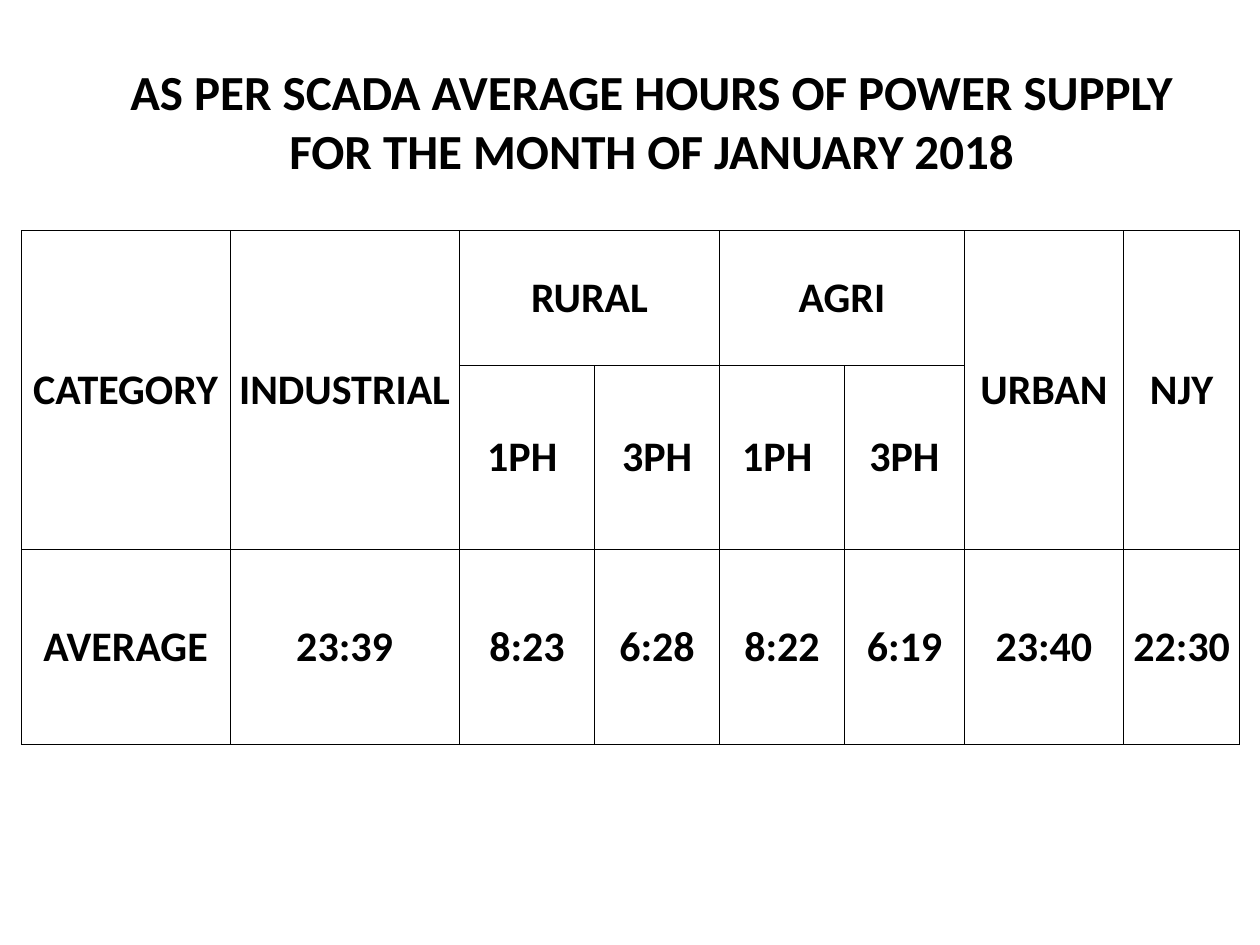
import pptx
import pptx.dml.color
import pptx.enum.text
import pptx.oxml
import pptx.oxml.ns
import pptx.util
from pptx.util import Inches

BLACK = pptx.dml.color.RGBColor(0, 0, 0)
WHITE = pptx.dml.color.RGBColor(255, 255, 255)
FONT = "Calibri"
BORDER_POINTS = 0.23

TITLE = "AS PER SCADA AVERAGE HOURS OF POWER SUPPLY FOR THE MONTH OF JANUARY 2018"
COLUMN_WIDTHS = [1.65, 1.82, 1.07, 0.99, 0.99, 0.95, 1.26, 0.92]
ROW_HEIGHTS = [1.07, 1.46, 1.55]
ROWS = [
    ["CATEGORY", "INDUSTRIAL", "RURAL", "", "AGRI", "", "URBAN", "NJY"],
    ["", "", "1PH ", "3PH", "1PH ", "3PH", "", ""],
    ["AVERAGE", "23:39", "8:23", "6:28", "8:22", "6:19", "23:40", "22:30"],
]
TALL_COLUMNS = [0, 1, 6, 7]
PHASE_COLUMNS = [2, 4]


def style_paragraph(paragraph, size):
    paragraph.alignment = pptx.enum.text.PP_ALIGN.CENTER
    font = paragraph.font
    font.name = FONT
    font.size = pptx.util.Pt(size)
    font.bold = True
    font.color.rgb = BLACK


def add_title(slide, left, top, width, height):
    shape = slide.shapes.add_textbox(left, top, width, height)
    frame = shape.text_frame
    frame.word_wrap = True
    frame.vertical_anchor = pptx.enum.text.MSO_ANCHOR.MIDDLE
    frame.text = TITLE
    style_paragraph(frame.paragraphs[0], 28)


def add_borders(cell):
    properties = cell._tc.get_or_add_tcPr()
    for side in ("lnL", "lnR", "lnT", "lnB"):
        properties.append(pptx.oxml.parse_xml(
            f'<a:{side} {pptx.oxml.ns.nsdecls("a")} w="{pptx.util.Pt(BORDER_POINTS)}">'
            f'<a:solidFill><a:srgbClr val="{BLACK}"/></a:solidFill></a:{side}>'
        ))


def fill_cell(cell, text):
    add_borders(cell)
    cell.fill.solid()
    cell.fill.fore_color.rgb = WHITE
    cell.vertical_anchor = pptx.enum.text.MSO_ANCHOR.MIDDLE
    cell.margin_left = cell.margin_right = Inches(0.01)
    cell.margin_top = cell.margin_bottom = Inches(0.05)
    cell.text = text
    style_paragraph(cell.text_frame.paragraphs[0], 24)


def add_supply_table(slide, left, top, width, height):
    table = slide.shapes.add_table(
        len(ROW_HEIGHTS), len(COLUMN_WIDTHS), left, top, width, height
    ).table
    for column, share in zip(table.columns, COLUMN_WIDTHS):
        column.width = int(width * share / sum(COLUMN_WIDTHS))
    for row, share in zip(table.rows, ROW_HEIGHTS):
        row.height = int(height * share / sum(ROW_HEIGHTS))
    for row, texts in zip(table.rows, ROWS):
        for cell, text in zip(row.cells, texts):
            fill_cell(cell, text)
    for column in TALL_COLUMNS:
        table.cell(0, column).merge(table.cell(1, column))
    for column in PHASE_COLUMNS:
        table.cell(0, column).merge(table.cell(0, column + 1))


def main():
    presentation = pptx.Presentation()
    presentation.slide_width = Inches(10)
    presentation.slide_height = Inches(7.5)
    slide = presentation.slides.add_slide(presentation.slide_layouts[6])
    add_title(slide, Inches(0.67), Inches(0.33), Inches(9), Inches(1.25))
    add_supply_table(slide, Inches(0.17), Inches(1.83), Inches(9.67), Inches(4.08))
    presentation.save("out.pptx")


if __name__ == "__main__":
    main()
